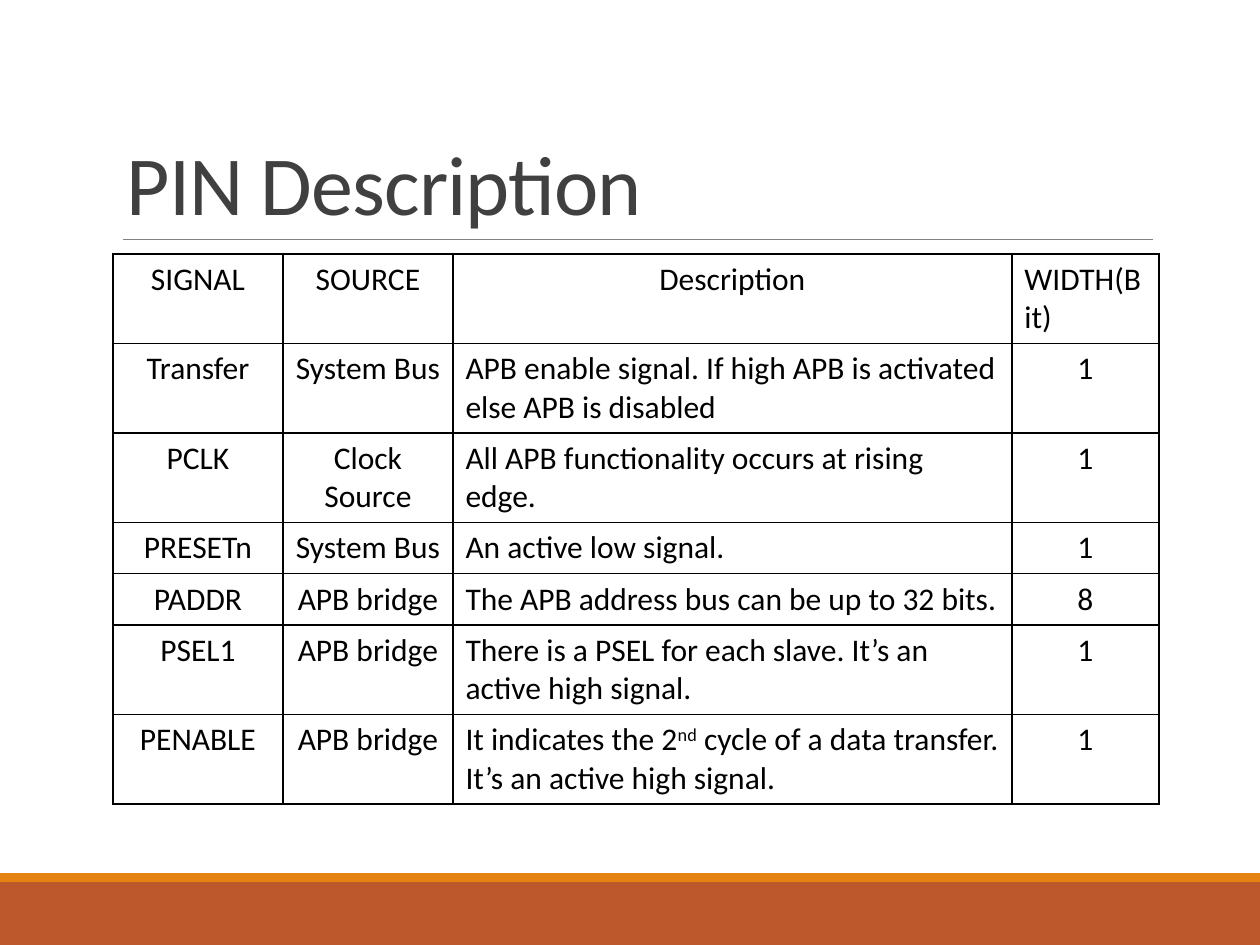
from lxml import etree
from pptx import Presentation
from pptx.dml.color import RGBColor
from pptx.enum.shapes import MSO_CONNECTOR, MSO_SHAPE
from pptx.enum.text import MSO_ANCHOR, PP_ALIGN
from pptx.oxml.ns import qn
from pptx.util import Emu, Pt

LEFT, CENTER = PP_ALIGN.LEFT, PP_ALIGN.CENTER
BOTTOM = MSO_ANCHOR.BOTTOM
RECTANGLE = MSO_SHAPE.RECTANGLE
STRAIGHT = MSO_CONNECTOR.STRAIGHT
TITLE_ONLY = 5
SCALE = 914400 / 126  # EMU in one px
color = RGBColor.from_string


def px(*lengths):
    """Turn px lengths into a list of EMU lengths."""
    return [Emu(round(length * SCALE)) for length in lengths]


def add_span(para, text, size, hex_color):
    span = para.add_run()
    span.text = text
    for name, value in {"size": Pt(size), "name": "Calibri", "bold": False}.items():
        setattr(span.font, name, value)
    span.font.color.rgb = color(hex_color)
    return span


deck = Presentation()
deck.slide_width, deck.slide_height = px(1260, 945)
page = deck.slides.add_slide(deck.slide_layouts[TITLE_ONLY])

# Footer bands
for top, height, fill in [(882, 63, "BD582C"), (873, 9, "E48312")]:
    band = page.shapes.add_shape(RECTANGLE, *px(0, top, 1260, height))
    band.shadow.inherit = False
    band.fill.solid()
    band.fill.fore_color.rgb = color(fill)
    band.line.fill.background()

# Rule under the title
rule = page.shapes.add_connector(STRAIGHT, *px(123, 239, 1153, 239))
rule.line.color.rgb = color("808080")
rule.line.width = Pt(0.5)
etree.SubElement(rule._element.spPr, qn("a:effectLst"))

# Title
title = page.shapes.title
title.left, title.top, title.width, title.height = px(114, 39, 1040, 200)
title.text_frame.vertical_anchor = BOTTOM
title_para = title.text_frame.paragraphs[0]
title_para.alignment = LEFT
title_para.line_spacing = 0.85
title_span = add_span(title_para, "PIN Description", 48, "404040")
title_span.font._element.set("spc", "-50")

# Pin table; a tuple holds text, superscript, text
ROWS = [
    ("SIGNAL", "SOURCE", "Description", "WIDTH(Bit)"),
    ("Transfer", "System Bus",
     "APB enable signal. If high APB is activated else APB is disabled", "1"),
    ("PCLK", "Clock Source", "All APB functionality occurs at rising edge.", "1"),
    ("PRESETn", "System Bus", "An active low signal.", "1"),
    ("PADDR", "APB bridge", "The APB address bus can be up to 32 bits.", "8"),
    ("PSEL1", "APB bridge",
     "There is a PSEL for each slave. It’s an active high signal.", "1"),
    ("PENABLE", "APB bridge",
     ("It indicates the 2", "nd",
      " cycle of a data transfer. It’s an active high signal."), "1"),
]
COLUMN_WIDTHS = px(170, 170, 559, 147)
ROW_HEIGHTS = px(76, 76, 76, 44, 44, 76, 76)

frame = page.shapes.add_table(len(ROWS), len(COLUMN_WIDTHS), *px(113, 254, 1046, 468))
table = frame.table
for column, width in zip(table.columns, COLUMN_WIDTHS):
    column.width = width
for row, height in zip(table.rows, ROW_HEIGHTS):
    row.height = height

for row_index, texts in enumerate(ROWS):
    left_column = 3 if row_index == 0 else 2
    for column_index, text in enumerate(texts):
        cell = table.cell(row_index, column_index)
        para = cell.text_frame.paragraphs[0]
        para.alignment = LEFT if column_index == left_column else CENTER
        parts = text if isinstance(text, tuple) else (text,)
        for part_index, part in enumerate(parts):
            span = add_span(para, part, 18, "000000")
            if part_index == 1:
                span.font._element.set("baseline", "30000")

        properties = cell._tc.get_or_add_tcPr()
        for side in ("a:lnL", "a:lnR", "a:lnT", "a:lnB"):
            border = etree.SubElement(properties, qn(side), w=str(Pt(1)))
            border_fill = etree.SubElement(border, qn("a:solidFill"))
            etree.SubElement(border_fill, qn("a:srgbClr"), val="000000")
        cell.fill.solid()
        cell.fill.fore_color.rgb = color("FFFFFF")

deck.save("out.pptx")
